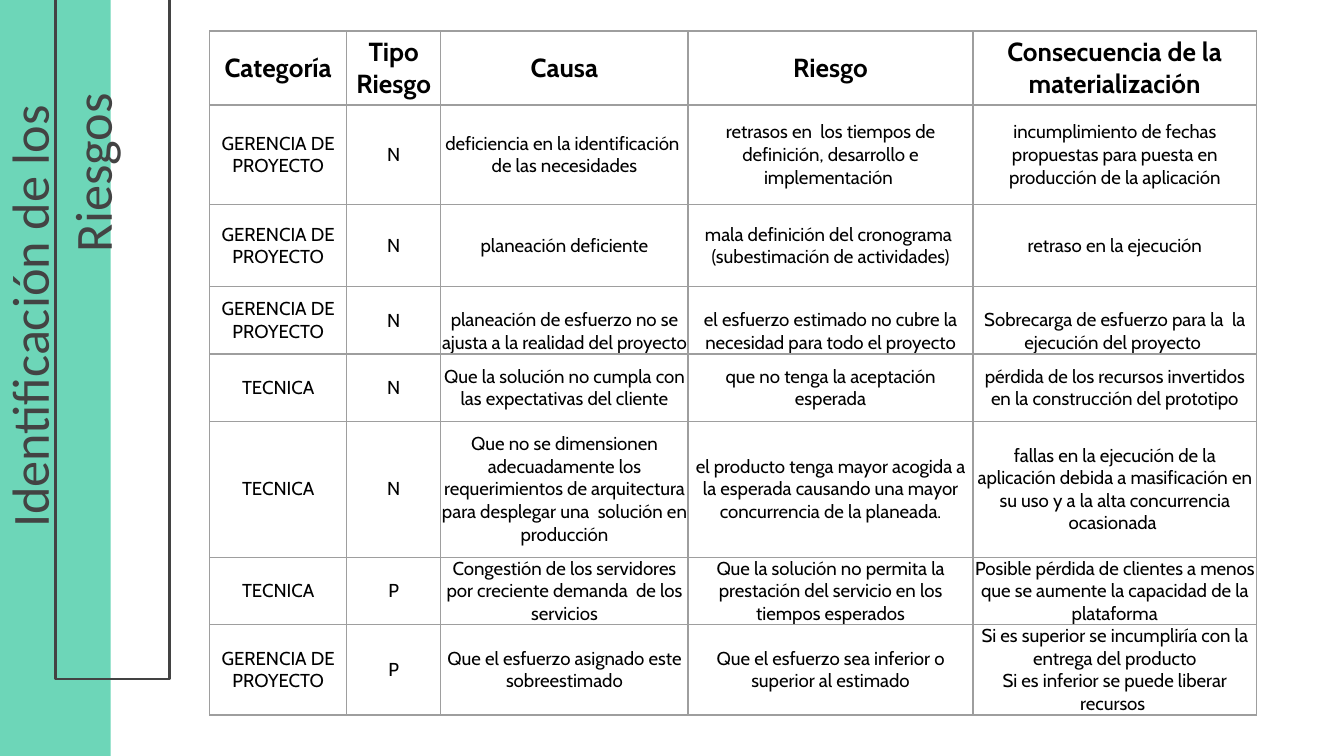
from lxml import etree
from pptx import Presentation
from pptx import util as u
from pptx.dml.color import RGBColor
from pptx.enum import shapes, text
from pptx.oxml import ns

WIDE = u.Inches(10)
HIGH = WIDE * 9 // 16
MINT = RGBColor(0x6D, 0xD6, 0xB8)
DARK = RGBColor(0x43, 0x43, 0x43)
BLACK = RGBColor(0, 0, 0)
GREY = RGBColor(0x9E, 0x9E, 0x9E)

COLS = [1.02, 0.7, 1.84, 2.12, 2.11]
ROWS = [0.55, 0.74, 0.61, 0.5, 0.5, 1.01, 0.5, 0.67]
LOW = 3
STAFF = "GERENCIA DE PROYECTO"
TECH = "TECNICA"
RISKS = [
    ["Categoría", "Tipo Riesgo", "Causa", "Riesgo",
     "Consecuencia de la materialización"],
    [STAFF, "N", "deficiencia en la identificación  de las necesidades",
     "retrasos en  los tiempos de definición, desarrollo e implementación ",
     "incumplimiento de fechas propuestas para puesta en producción de la aplicación"],
    [STAFF, "N", "planeación deficiente",
     "mala definición del cronograma  (subestimación de actividades)",
     "retraso en la ejecución"],
    [STAFF, "N", "planeación de esfuerzo no se ajusta a la realidad del proyecto",
     "el esfuerzo estimado no cubre la necesidad para todo el proyecto",
     "Sobrecarga de esfuerzo para la  la ejecución del proyecto "],
    [TECH, "N", "Que la solución no cumpla con las expectativas del cliente",
     "que no tenga la aceptación esperada",
     "pérdida de los recursos invertidos en la construcción del prototipo"],
    [TECH, "N", "Que no se dimensionen adecuadamente los requerimientos de "
     "arquitectura para desplegar una  solución en producción",
     "el producto tenga mayor acogida a la esperada causando una mayor "
     "concurrencia de la planeada.",
     "fallas en la ejecución de la aplicación debida a masificación en su uso "
     "y a la alta concurrencia ocasionada "],
    [TECH, "P", "Congestión de los servidores por creciente demanda  de los servicios",
     "Que la solución no permita la prestación del servicio en los tiempos esperados",
     "Posible pérdida de clientes a menos que se aumente la capacidad de la plataforma"],
    [STAFF, "P", "Que el esfuerzo asignado este sobreestimado",
     "Que el esfuerzo sea inferior o superior al estimado",
     "Si es superior se incumpliría con la entrega del producto\n"
     "Si es inferior se puede liberar recursos "],
]


def share(x, y, w, h):
    return [round(part * full / 100) for part, full in
            zip((x, y, w, h), (WIDE, HIGH, WIDE, HIGH))]


def inner(box, x, y, w, h):
    left, top, wide, high = box
    return [round(n) for n in (left + x * wide, top + y * high, w * wide, h * high)]


def write(para, words, face, size, ink, bold=False):
    for i, line in enumerate(words.split("\n")):
        if i:
            para.add_line_break()
        run = para.add_run()
        run.text = line
        run.font.name, run.font.size, run.font.bold = face, u.Pt(size), bold
        run.font.color.rgb = ink


def panel(slide, box):
    band = slide.shapes.add_shape(shapes.MSO_SHAPE.RECTANGLE, *inner(box, 0, 0.01, 0.66, 0.99))
    band.fill.solid()
    band.fill.fore_color.rgb = MINT
    band.line.fill.background()
    frame = slide.shapes.add_shape(shapes.MSO_SHAPE.RECTANGLE, *inner(box, 0.34, 0, 0.66, 0.9))
    frame.fill.background()
    frame.line.color.rgb = DARK
    frame.line.width = u.Pt(1.5)
    for item in (band, frame):
        item.shadow.inherit = False


def title(slide, box):
    left, top, wide, high = box
    label = slide.shapes.add_textbox(
        left + (wide - high) // 2, top + (high - wide) // 2, high, wide)
    label.rotation = 270
    body = label.text_frame
    body.word_wrap = True
    body.vertical_anchor = text.MSO_ANCHOR.BOTTOM
    body.margin_left = body.margin_right = u.Inches(0.1)
    body.margin_top = body.margin_bottom = u.Inches(0.1)
    para = body.paragraphs[0]
    para.alignment = text.PP_ALIGN.RIGHT
    write(para, "Identificación de los  Riesgos", "Calibri", 28, DARK)


def edge(cell):
    props = cell._tc.get_or_add_tcPr()
    for side in ("lnL", "lnR", "lnT", "lnB"):
        line = etree.SubElement(props, ns.qn("a:" + side), w=str(u.Pt(0.75)))
        fill = etree.SubElement(line, ns.qn("a:solidFill"))
        etree.SubElement(fill, ns.qn("a:srgbClr"), val=str(GREY))


def matrix(slide, box):
    grid = slide.shapes.add_table(len(ROWS), len(COLS), *box).table
    grid.first_row = grid.horz_banding = False
    for col, part in zip(grid.columns, COLS):
        col.width = round(box[2] * part / sum(COLS))
    for row, part in zip(grid.rows, ROWS):
        row.height = round(box[3] * part / sum(ROWS))
    for r, row in enumerate(RISKS):
        for c, words in enumerate(row):
            cell = grid.cell(r, c)
            cell.margin_left = cell.margin_right = 0
            cell.margin_top = cell.margin_bottom = 0
            sunk = r == LOW and c > 1
            cell.vertical_anchor = text.MSO_ANCHOR.BOTTOM if sunk else text.MSO_ANCHOR.MIDDLE
            edge(cell)
            cell.fill.background()
            para = cell.text_frame.paragraphs[0]
            para.alignment = text.PP_ALIGN.CENTER
            write(para, words, "Cabin", 10 if r else 14, BLACK, r == 0)


def main():
    deck = Presentation()
    deck.slide_width, deck.slide_height = WIDE, HIGH
    slide = deck.slides.add_slide(deck.slide_layouts[6])
    panel(slide, share(-0.2, -1.6, 12.8, 101.6))
    title(slide, share(3.8, 10.6, 6.3, 77.2))
    matrix(slide, share(15.6, 4.1, 77.9, 90.5))
    deck.save("out.pptx")


if __name__ == "__main__":
    main()
